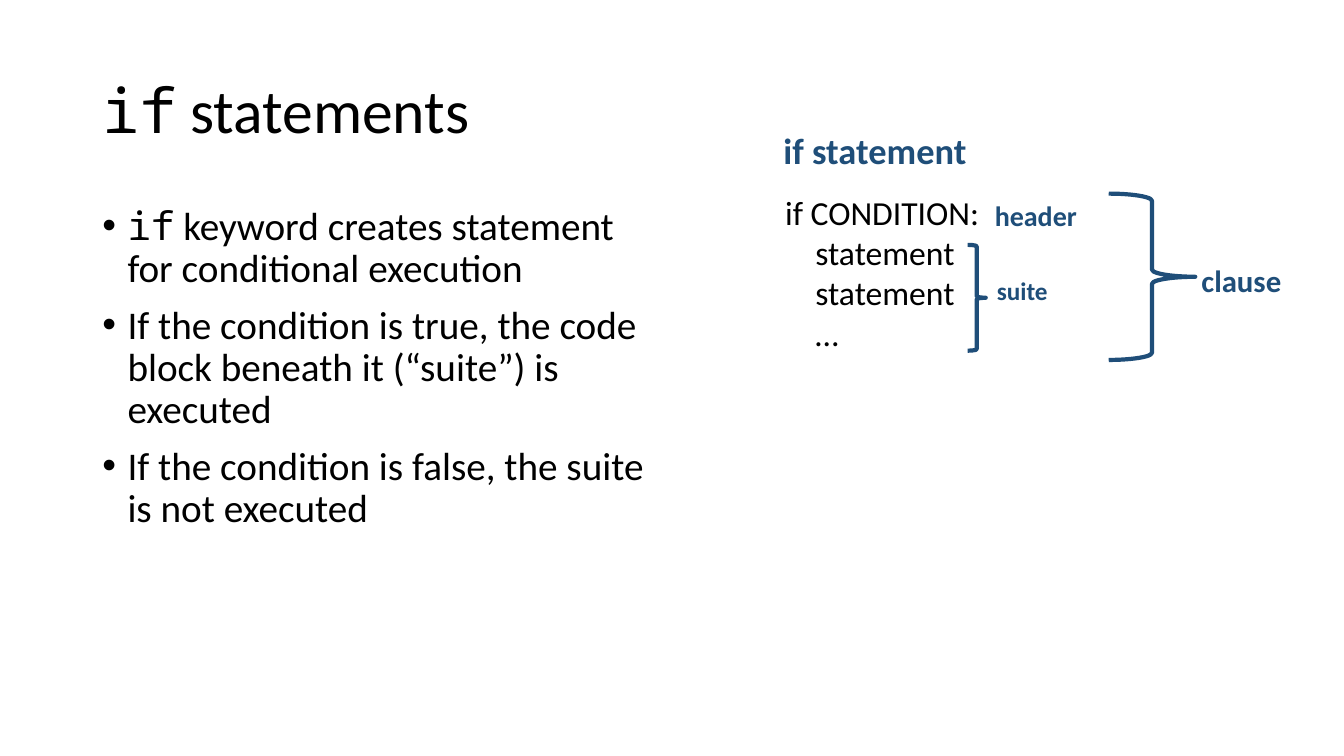
import pptx
import pptx.util
import pptx.dml.color
import pptx.enum.shapes
import pptx.enum.text
import lxml.etree

HUES = {"ink": "000000", "blue": "1F4E79"}
SANS, MONO = "Calibri", "Noto Sans Mono"
WIDE, HIGH = pptx.util.Inches(13.333), pptx.util.Inches(7.5)
COLS, ROWS = 32, 18
ALIGN = pptx.enum.text.PP_ALIGN
ANCHOR = pptx.enum.text.MSO_ANCHOR


def place(box, part):
    """Turn a part given in grid cells within a box into slide lengths."""
    left, top = box[0] + part[0], box[1] + part[1]
    cells = (left / COLS * WIDE, top / ROWS * HIGH,
             part[2] / COLS * WIDE, part[3] / ROWS * HIGH)
    return [round(size) for size in cells]


def style(run, size, hue="ink", bold=False, font=SANS):
    """Set the font of a run."""
    run.font.name, run.font.size, run.font.bold = font, pptx.util.Pt(size), bold
    run.font.color.rgb = pptx.dml.color.RGBColor.from_string(HUES[hue])


def write(slide, spot, lines, size, hue="ink", bold=False):
    """Add a wrapped text box with one paragraph per line, each a list of (text, font)."""
    frame = slide.shapes.add_textbox(*spot).text_frame
    frame.word_wrap = True
    for row, line in enumerate(lines):
        para = frame.add_paragraph() if row else frame.paragraphs[0]
        for text, font in line:
            run = para.add_run()
            run.text = text
            style(run, size, hue, bold, font)
    return frame


def indent(para, left, first=0, mark=None):
    """Indent a paragraph and give it an optional bullet."""
    props = para._p.get_or_add_pPr()
    props.set("marL", str(pptx.util.Inches(left)))
    props.set("indent", str(pptx.util.Inches(first)))
    if mark:
        space = pptx.oxml.ns.qn
        lxml.etree.SubElement(props, space("a:buFont")).set("typeface", "Arial")
        lxml.etree.SubElement(props, space("a:buChar")).set("char", mark)


def title(slide, box):
    """Write the slide title."""
    line = [("if", MONO), (" statements", SANS)]
    frame = write(slide, place(box, (0, 0, *box[2:])), [line], 44)
    frame.vertical_anchor = ANCHOR.MIDDLE
    frame.paragraphs[0].line_spacing = 0.9


def points(slide, box):
    """Write the bulleted list."""
    lines = [
        [("if", MONO), (" keyword creates statement for conditional execution", SANS)],
        [("If the condition is true, the code block beneath it (“suite”) is executed", SANS)],
        [("If the condition is false, the suite is not executed", SANS)],
    ]
    frame = write(slide, place(box, (0, 0, *box[2:])), lines, 28)
    for para in frame.paragraphs:
        para.line_spacing, para.space_before = 0.9, pptx.util.Pt(10)
        indent(para, 0.25, -0.25, "•")


def brace(slide, spot):
    """Draw a right brace."""
    kind = pptx.enum.shapes.MSO_SHAPE.RIGHT_BRACE
    shape = slide.shapes.add_shape(kind, *spot)
    shape.shadow.inherit = False
    shape.fill.background()
    shape.line.color.rgb = pptx.dml.color.RGBColor.from_string(HUES["blue"])
    shape.line.width = pptx.util.Pt(3)


def syntax(slide, box):
    """Draw the code sample with its labels and braces."""
    code = ["if CONDITION:", "statement", "statement", "…"]
    frame = write(slide, place(box, (0.12, 1.51, 12.79, 4.13)),
                  [[(line, SANS)] for line in code], 24)
    for para in frame.paragraphs[1:]:
        indent(para, 0.3)

    for part in ((4.7, 2.9, 0.43, 2.52), (8.06, 1.68, 2.06, 3.96)):
        brace(slide, place(box, part))

    labels = [
        ("header", (5.11, 1.68, 5.18, 1.06), 20, ALIGN.LEFT),
        ("suite", (5.16, 3.5, 5.18, 0.96), 18, ALIGN.LEFT),
        ("clause", (10.03, 3.19, 3.65, 1.13), 22, ALIGN.LEFT),
        ("if statement", (0, 0, 4.99, 1.3), 26, ALIGN.CENTER),
    ]
    for text, part, size, align in labels:
        frame = write(slide, place(box, part), [[(text, SANS)]], size, "blue", True)
        frame.paragraphs[0].alignment = align


def main():
    """Build the slide and save it."""
    deck = pptx.Presentation()
    deck.slide_width, deck.slide_height = WIDE, HIGH
    slide = deck.slides.add_slide(deck.slide_layouts[6])
    title(slide, (2.2, 0.96, 27.6, 3.48))
    points(slide, (2.2, 4.8, 13.8, 11.42))
    syntax(slide, (18.34, 2.93, 13.68, 5.64))
    deck.save("out.pptx")


if __name__ == "__main__":
    main()
